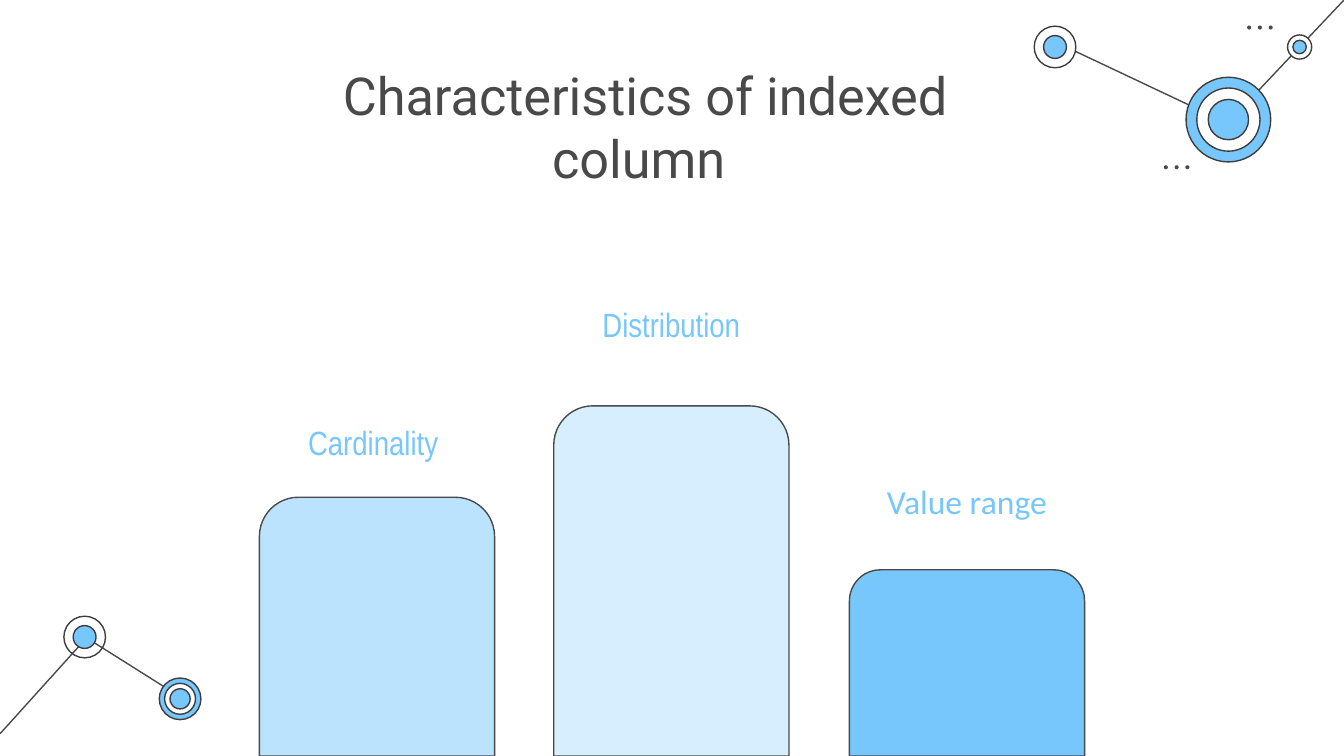
"""Build the slide on characteristics of indexed columns."""
from dataclasses import dataclass

from lxml import etree
from pptx import Presentation
from pptx.dml.color import RGBColor
from pptx.enum.shapes import MSO_CONNECTOR, MSO_SHAPE
from pptx.enum.text import MSO_ANCHOR, MSO_AUTO_SIZE, PP_ALIGN
from pptx.oxml.ns import qn
from pptx.slide import Slide
from pptx.text.text import TextFrame
from pptx.util import Inches, Pt

OVAL = MSO_SHAPE.OVAL
ROUNDED_TOP = MSO_SHAPE.ROUND_2_SAME_RECTANGLE
STRAIGHT = MSO_CONNECTOR.STRAIGHT
TOP = MSO_ANCHOR.TOP
NO_FIT = MSO_AUTO_SIZE.NONE
CENTER = PP_ALIGN.CENTER
TITLE_ONLY = 5


@dataclass(frozen=True)
class Theme:
    ink: str = "494949"
    ring_line: str = "3D3D3D"
    blue: str = "77C6FC"
    light_blue: str = "BBE3FE"
    pale_blue: str = "D6EEFE"
    white: str = "FFFFFF"
    title_font: str = "Roboto"
    title_size: float = 28
    label_size: float = 18
    line_width: float = 0.75


THEME = Theme()


@dataclass(frozen=True)
class Link:
    start: tuple[float, float]
    end: tuple[float, float]


@dataclass(frozen=True)
class Node:
    center: tuple[float, float]
    rings: tuple[tuple[float, str | None], ...]


@dataclass(frozen=True)
class Bar:
    text: str
    font: str
    left: float
    top: float
    color: str
    label_top: float
    label_width: float = 2.04


SLIDE_WIDTH = 10
SLIDE_HEIGHT = SLIDE_WIDTH * 9 / 16
BAR_WIDTH, LABEL_HEIGHT = 1.75, 0.44
DOT_SIZE, DOT_STEP = 0.03, 0.08

LINKS = (
    Link((0.65, 4.75), (1.38, 5.21)),
    Link((0, 5.46), (0.65, 4.74)),
    Link((9.14, 0.92), (7.87, 0.32)),
    Link((10, 0), (9.14, 0.91)),
)
NODES = (
    Node((0.63, 4.74), ((0.31, None), (0.17, THEME.blue))),
    Node((1.34, 5.2), ((0.31, THEME.blue), (0.23, THEME.white), (0.15, THEME.blue))),
    Node((9.14, 0.89), ((0.63, THEME.blue), (0.47, THEME.white), (0.3, THEME.blue))),
    Node((7.85, 0.35), ((0.31, THEME.white), (0.17, THEME.blue))),
    Node((9.67, 0.35), ((0.18, THEME.white), (0.1, THEME.blue))),
)
DOT_ROWS = ((9.28, 0.19), (8.66, 1.23))
BARS = (
    Bar("Cardinality ", "Arial Narrow", 1.93, 3.7, THEME.light_blue, 3.04),
    Bar("Distribution", "Arial Narrow", 4.12, 3.02, THEME.pale_blue, 2.16),
    Bar("Value range", "Calibri", 6.32, 4.24, THEME.blue, 3.48, 2.23),
)


def write_text(frame: TextFrame, text: str, *, font: str, size: float, color: str) -> None:
    """Fill a text frame with one centred, top-anchored paragraph."""
    frame.word_wrap = True
    frame.auto_size = NO_FIT
    frame.vertical_anchor = TOP
    frame.margin_left = frame.margin_right = Inches(0.1)
    frame.margin_top = frame.margin_bottom = Inches(0.1)
    paragraph = frame.paragraphs[0]
    paragraph.alignment = CENTER
    run = paragraph.add_run()
    run.text = text
    run.font.name = font
    run.font.size = Pt(size)
    run.font.color.rgb = RGBColor.from_string(color)


def draw_shape(slide: Slide, kind: MSO_SHAPE, left: float, top: float, width: float,
               height: float, *, fill: str | None, line: str | None) -> None:
    """Draw a flat preset shape with optional fill and outline."""
    shape = slide.shapes.add_shape(kind, Inches(left), Inches(top), Inches(width), Inches(height))
    shape.shadow.inherit = False
    if fill:
        shape.fill.solid()
        shape.fill.fore_color.rgb = RGBColor.from_string(fill)
    else:
        shape.fill.background()
    if line:
        shape.line.color.rgb = RGBColor.from_string(line)
        shape.line.width = Pt(THEME.line_width)
    else:
        shape.line.fill.background()


def draw_link(slide: Slide, link: Link) -> None:
    """Draw a thin line between two nodes."""
    points = [Inches(value) for value in (*link.start, *link.end)]
    connector = slide.shapes.add_connector(STRAIGHT, *points)
    connector.line.color.rgb = RGBColor.from_string(THEME.ink)
    connector.line.width = Pt(THEME.line_width)
    etree.SubElement(connector._element.spPr, qn("a:effectLst"))


def draw_node(slide: Slide, node: Node) -> None:
    """Draw concentric rings from the outside in."""
    x, y = node.center
    for diameter, fill in node.rings:
        draw_shape(slide, OVAL, x - diameter / 2, y - diameter / 2, diameter, diameter,
                   fill=fill, line=THEME.ring_line)


def draw_dots(slide: Slide, left: float, top: float) -> None:
    """Draw a row of three small dots."""
    for index in range(3):
        draw_shape(slide, OVAL, left + index * DOT_STEP, top, DOT_SIZE, DOT_SIZE,
                   fill=THEME.ink, line=None)


def draw_bar(slide: Slide, bar: Bar) -> None:
    """Draw a bar standing on the slide edge with its label centred above."""
    draw_shape(slide, ROUNDED_TOP, bar.left, bar.top, BAR_WIDTH, SLIDE_HEIGHT - bar.top,
               fill=bar.color, line=THEME.ink)
    label_left = bar.left + (BAR_WIDTH - bar.label_width) / 2
    label = slide.shapes.add_textbox(Inches(label_left), Inches(bar.label_top),
                                     Inches(bar.label_width), Inches(LABEL_HEIGHT))
    write_text(label.text_frame, bar.text, font=bar.font, size=THEME.label_size, color=THEME.blue)


def main() -> None:
    """Build and save the presentation."""
    presentation = Presentation()
    presentation.slide_width = Inches(SLIDE_WIDTH)
    presentation.slide_height = Inches(SLIDE_HEIGHT)
    slide = presentation.slides.add_slide(presentation.slide_layouts[TITLE_ONLY])
    title = slide.shapes.title
    title.left, title.top = Inches(2.01), Inches(0.37)
    title.width, title.height = Inches(5.58), Inches(0.63)
    write_text(title.text_frame, "Characteristics of indexed column ", font=THEME.title_font,
               size=THEME.title_size, color=THEME.ink)
    for link in LINKS:
        draw_link(slide, link)
    for node in NODES:
        draw_node(slide, node)
    for left, top in DOT_ROWS:
        draw_dots(slide, left, top)
    for bar in BARS:
        draw_bar(slide, bar)
    presentation.save("out.pptx")


if __name__ == "__main__":
    main()
